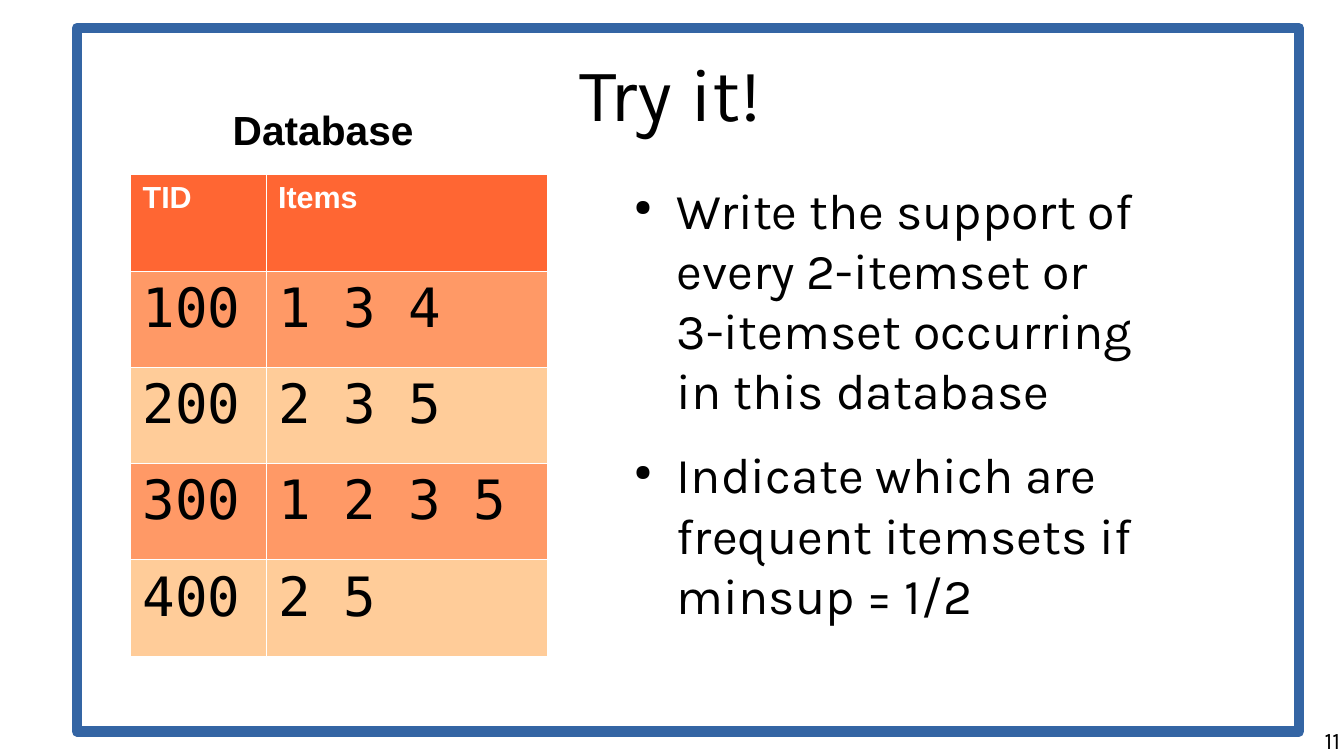
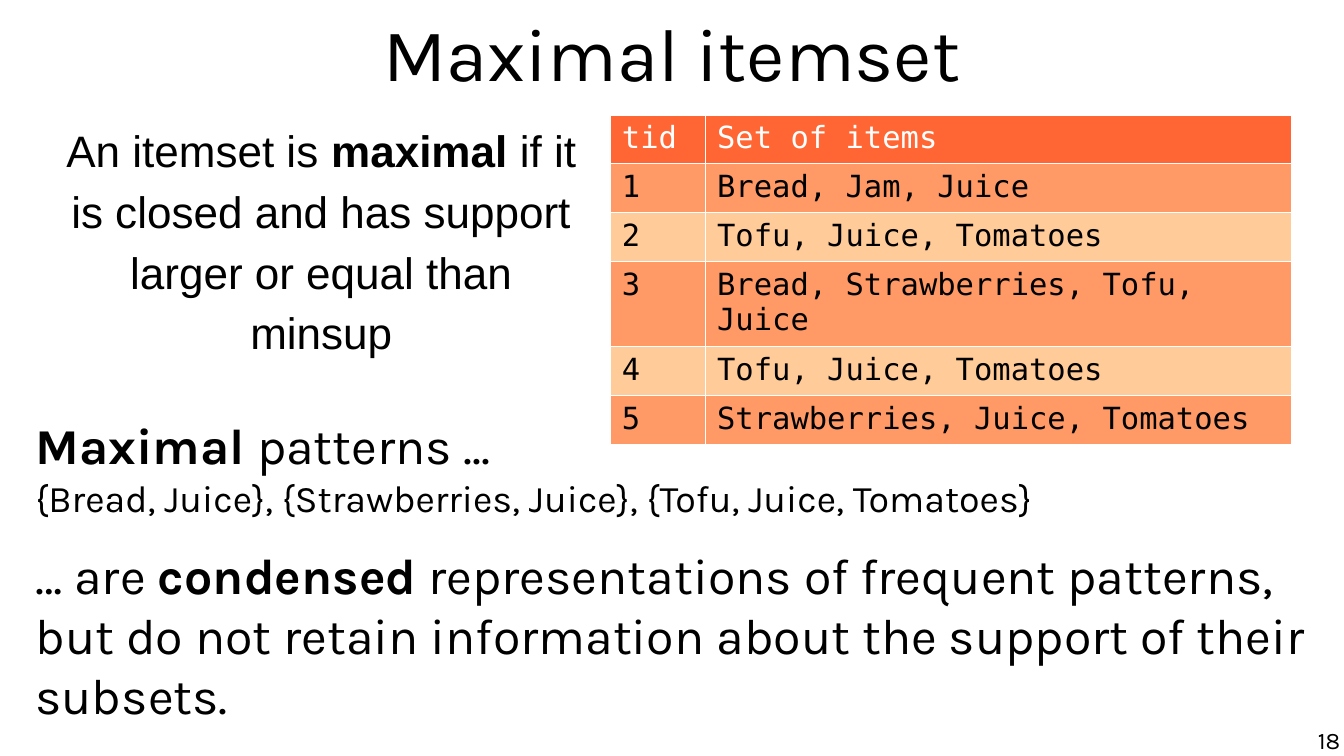
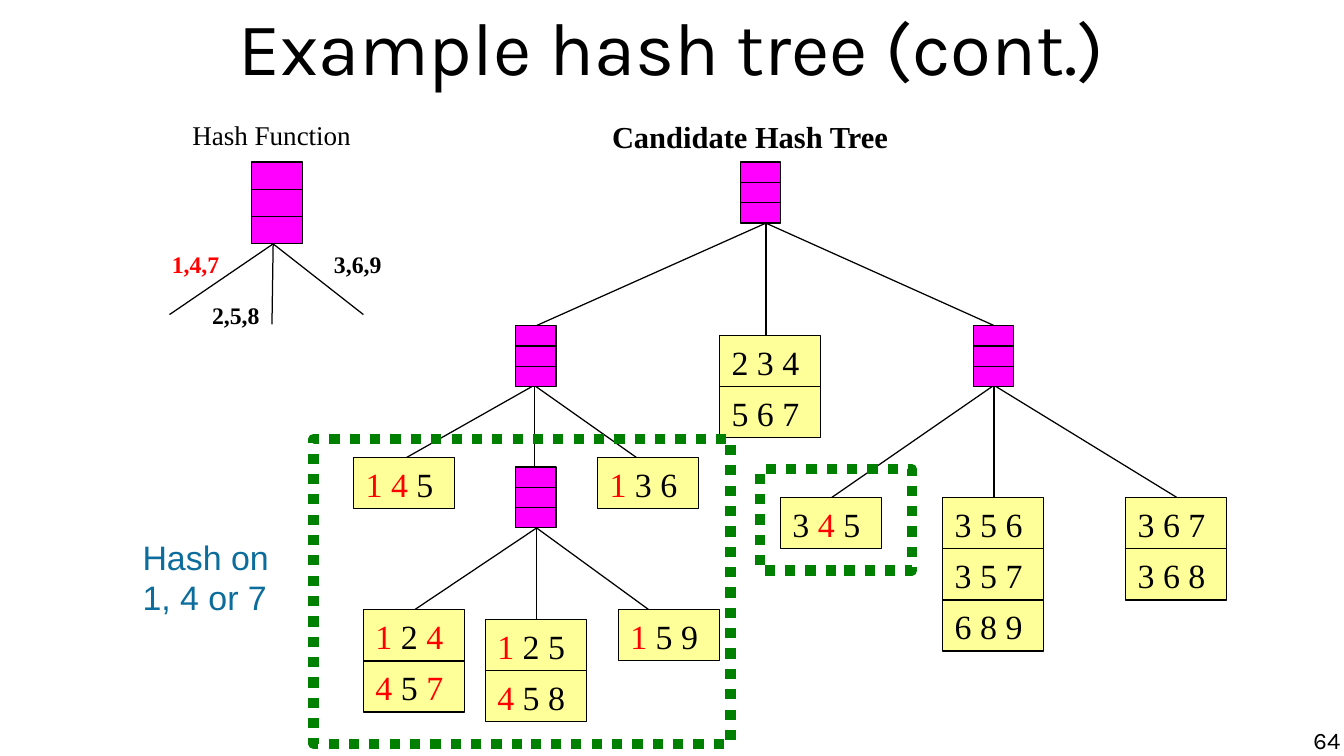
from dataclasses import dataclass, replace

from lxml.etree import SubElement
from pptx import Presentation
from pptx.dml.color import RGBColor
from pptx.enum.dml import MSO_LINE
from pptx.enum.shapes import MSO_CONNECTOR, MSO_SHAPE
from pptx.enum.text import MSO_ANCHOR, PP_ALIGN
from pptx.oxml.ns import qn
from pptx.util import Emu, Pt

PX = 9144


def px(n):
    return Emu(int(n * PX))


@dataclass(frozen=True)
class Font:
    name: str
    size: float
    color: str = "000000"
    bold: bool = False


@dataclass(frozen=True)
class Theme:
    black: str = "000000"
    white: str = "FFFFFF"
    red: str = "FF0000"
    frame: str = "3465A4"
    focus: str = "008000"
    node: str = "FF00FF"
    leaf: str = "FFFF99"
    header: str = "FF6633"
    bands: tuple = ("FF9966", "FFCC99")
    title: Font = Font("Karla", 44)
    body: Font = Font("Karla", 29.6)
    page: Font = Font("Karla", 14)
    caption: Font = Font("Arial", 24, bold=True)
    definition: Font = Font("Arial", 26)
    note: Font = Font("Arial", 20, "0C6D9C")
    mono: Font = Font("DejaVu Sans Mono", 18)
    tree: Font = Font("Times New Roman", 20)
    thin: float = 0.75
    thick: float = 6
    small: float = 22.2
    gap: float = 14.2


T = Theme()
PAD = (10, 5)


class Deck:
    def __init__(self, width, height):
        self.prs = Presentation()
        self.prs.slide_width, self.prs.slide_height = px(width), px(height)
        self.s = None

    def slide(self, title, page, box):
        self.s = self.prs.slides.add_slide(self.prs.slide_layouts[6])
        self.text(box, [title], T.title, align=PP_ALIGN.CENTER, anchor=MSO_ANCHOR.MIDDLE)
        self.text((842, 595, 257, 25), [page], T.page, align=PP_ALIGN.RIGHT)

    def style(self, r, font):
        r.font.name, r.font.size, r.font.bold = font.name, Pt(font.size), font.bold
        r.font.color.rgb = RGBColor.from_string(font.color)

    def fill_text(self, tf, paragraphs, font, align=PP_ALIGN.LEFT, anchor=MSO_ANCHOR.TOP,
                  pad=(0, 0), gap=0, spacing=None, bullet=False):
        tf.word_wrap = True
        tf.vertical_anchor = anchor
        tf.margin_left = tf.margin_right = px(pad[0])
        tf.margin_top = tf.margin_bottom = px(pad[1])
        for i, runs in enumerate(paragraphs):
            p = tf.add_paragraph() if i else tf.paragraphs[0]
            p.alignment = align
            if spacing:
                p.line_spacing = spacing
            if i:
                p.space_before = Pt(gap)
            if bullet:
                self.bullet(p)
            for part in [(runs, {})] if isinstance(runs, str) else runs:
                self.run(p, part[0], replace(font, **part[1]))

    def run(self, p, text, font):
        for i, line in enumerate(text.split("\n")):
            if i:
                p.add_line_break()
            if line:
                r = p.add_run()
                r.text = line
                self.style(r, font)

    def bullet(self, p):
        pPr = p._p.get_or_add_pPr()
        pPr.set("marL", str(px(47)))
        pPr.set("indent", str(px(-35)))
        color = SubElement(pPr, qn("a:buClr"))
        SubElement(color, qn("a:srgbClr"), val=T.black)
        SubElement(pPr, qn("a:buSzPct"), val="45000")
        SubElement(pPr, qn("a:buChar"), char="●")

    def text(self, box, paragraphs, font, **options):
        tb = self.s.shapes.add_textbox(*map(px, box))
        self.fill_text(tb.text_frame, paragraphs, font, **options)

    def rect(self, box, line, width, fill=None, dash=None):
        sp = self.s.shapes.add_shape(MSO_SHAPE.RECTANGLE, *map(px, box))
        sp.shadow.inherit = False
        if fill:
            sp.fill.solid()
            sp.fill.fore_color.rgb = RGBColor.from_string(fill)
        else:
            sp.fill.background()
        sp.line.color.rgb = RGBColor.from_string(line)
        sp.line.width = Pt(width)
        if dash:
            sp.line.dash_style = dash
        return sp

    def line(self, start, end):
        c = self.s.shapes.add_connector(MSO_CONNECTOR.STRAIGHT, *map(px, start + end))
        c.line.color.rgb = RGBColor.from_string(T.black)
        c.line.width = Pt(T.thin)
        SubElement(c._element.spPr, qn("a:effectLst"))

    def fork(self, apex, ends):
        for end in ends:
            self.line(apex, end)

    def node(self, x, y, w=33, h=50):
        self.rect((x, y, w, h), T.black, T.thin, T.node)
        for i in (1, 2):
            level = y + h * i / 3
            self.line((x, level), (x + w, level))

    def leaves(self, x, y, itemsets, hashed=""):
        for i, items in enumerate(itemsets):
            sp = self.rect((x, y + 42 * i, 83, 42), T.black, T.thin, T.leaf)
            runs = [(ch, {"color": T.red if ch in hashed else T.black}) for ch in items]
            self.fill_text(sp.text_frame, [runs], T.tree, pad=PAD)

    def focus(self, box):
        self.rect(box, T.focus, T.thick, dash=MSO_LINE.ROUND_DOT)

    def table(self, x, y, widths, heights, rows, head, body):
        shape = self.s.shapes.add_table(len(rows), len(widths), px(x), px(y),
                                        px(sum(widths)), px(sum(heights)))
        table = shape.table
        table.horz_banding = False
        for column, w in zip(table.columns, widths):
            column.width = px(w)
        for i, (row, h) in enumerate(zip(rows, heights)):
            table.rows[i].height = px(h)
            fill = T.bands[(i - 1) % 2] if i else T.header
            for j, value in enumerate(row):
                self.cell(table.cell(i, j), value, body if i else head, fill)

    def cell(self, cell, value, font, fill):
        tcPr = cell._tc.get_or_add_tcPr()
        for side in "LRTB":
            ln = SubElement(tcPr, qn("a:ln" + side), w="762")
            SubElement(SubElement(ln, qn("a:solidFill")), qn("a:srgbClr"), val=T.white)
        cell.fill.solid()
        cell.fill.fore_color.rgb = RGBColor.from_string(fill)
        cell.margin_left = cell.margin_right = px(PAD[0])
        cell.margin_top = cell.margin_bottom = px(PAD[1])
        p = cell.text_frame.paragraphs[0]
        p.text = value
        self.style(p.runs[0], font)


def try_it(d):
    d.slide("Try it!", "11", (55, 1, 989, 149))
    d.text((508, 147, 490, 396), [
        "Write the support of every 2-itemset or\n3-itemset occurring\nin this database",
        "Indicate which are frequent itemsets if minsup = 1/2",
    ], T.body, gap=T.gap, bullet=True)
    d.rect((63, 23, 1002, 577), T.frame, T.thick)
    rows = [("TID", "Items"), ("100", "1 3 4"), ("200", "2 3 5"),
            ("300", "1 2 3 5"), ("400", "2 5")]
    d.table(107, 143, (111, 231), [79] * 5, rows,
            replace(T.caption, size=18, color=T.white), replace(T.mono, size=32))
    d.text((181, 81, 181, 51), ["Database"], T.caption, pad=PAD)


def maximal_itemset(d):
    d.slide("Maximal itemset", "18", (55, 1, 992, 83))
    rows = [("tid", "Set of items"), ("1", "Bread, Jam, Juice"),
            ("2", "Tofu, Juice, Tomatoes"), ("3", "Bread, Strawberries, Tofu, Juice"),
            ("4", "Tofu, Juice, Tomatoes"), ("5", "Strawberries, Juice, Tomatoes")]
    d.table(500, 94, (78, 481), (40, 40, 40, 70, 40, 40), rows,
            replace(T.mono, color=T.white), T.mono)
    bold = {"bold": True}
    d.text((41, 90, 445, 225), [[
        ("An itemset is ", {}), ("maximal ", bold),
        ("if it is closed and has support larger or equal than minsup", {}),
    ]], T.definition, align=PP_ALIGN.CENTER, pad=PAD, spacing=1.15)
    d.text((29, 340, 1044, 239), [
        [("Maximal", bold), (" patterns ...\n", {}),
         ("{Bread, Juice}, {Strawberries, Juice}, {Tofu, Juice, Tomatoes}",
          {"size": T.small})],
        [("… are ", {}), ("condensed", bold),
         (" representations of frequent patterns, but do not retain information "
          "about the support of their subsets.", {})],
    ], T.body, gap=T.gap)


def hash_tree(d):
    d.slide("Example hash tree (cont.)", "64", (55, -4, 992, 83))
    for apex, ends in [
        ((628, 183), [(440, 267), (628, 275), (815, 267)]),
        ((438, 316), [(332, 376), (438, 383), (523, 376)]),
        ((815, 316), [(682, 408), (815, 408), (965, 408)]),
        ((440, 433), [(340, 500), (440, 508), (532, 500)]),
        ((224, 200), [(139, 258), (223, 266), (298, 258)]),
    ]:
        d.fork(apex, ends)
    for x, y in [(607, 133), (423, 267), (798, 267), (423, 383)]:
        d.node(x, y)
    d.node(206, 133, 42, 67)
    for x, y, itemsets in [
        (290, 375, ["1 4 5"]), (490, 375, ["1 3 6"]), (640, 408, ["3 4 5"]),
        (298, 500, ["1 2 4", "4 5 7"]), (398, 508, ["1 2 5", "4 5 8"]),
        (507, 500, ["1 5 9"]),
    ]:
        d.leaves(x, y, itemsets, hashed="147")
    for x, y, itemsets in [
        (590, 275, ["2 3 4", "5 6 7"]), (773, 408, ["3 5 6", "3 5 7", "6 8 9"]),
        (923, 408, ["3 6 7", "3 6 8"]),
    ]:
        d.leaves(x, y, itemsets)
    branch = replace(T.tree, size=14, bold=True)
    for x, y, label, color in [(131, 200, "1,4,7", T.red), (164, 242, "2,5,8", T.black),
                               (264, 200, "3,6,9", T.black)]:
        d.text((x, y, 65, 33), [label], replace(branch, color=color), pad=PAD)
    d.text((148, 92, 160, 37), ["Hash Function"], replace(T.tree, size=16), pad=PAD)
    d.text((492, 92, 260, 40), ["Candidate Hash Tree"],
           replace(T.tree, size=18, bold=True), pad=PAD)
    d.text((107, 435, 125, 77), ["Hash on 1, 4 or 7"], T.note, pad=PAD)
    d.focus((257, 360, 342, 250))
    d.focus((623, 385, 125, 83))


def main():
    d = Deck(1102, 620)
    try_it(d)
    maximal_itemset(d)
    hash_tree(d)
    d.prs.save("out.pptx")


if __name__ == "__main__":
    main()
